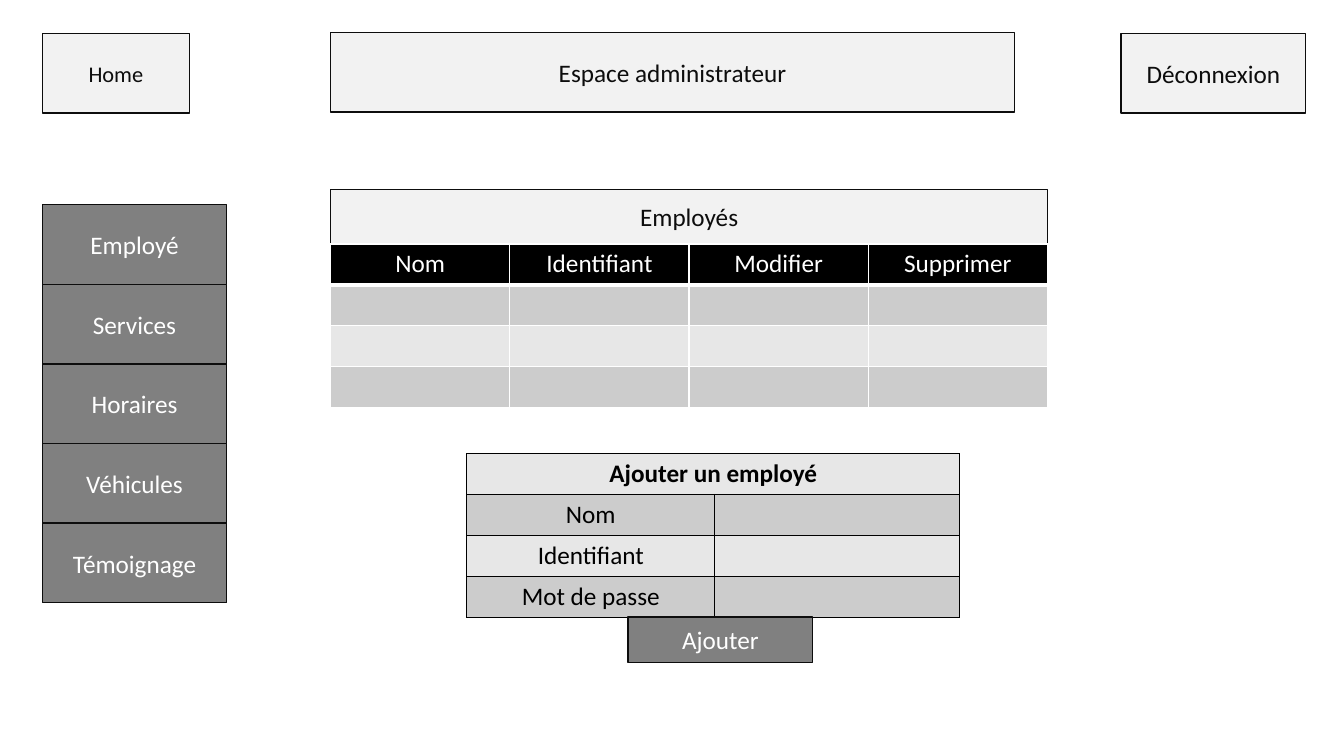
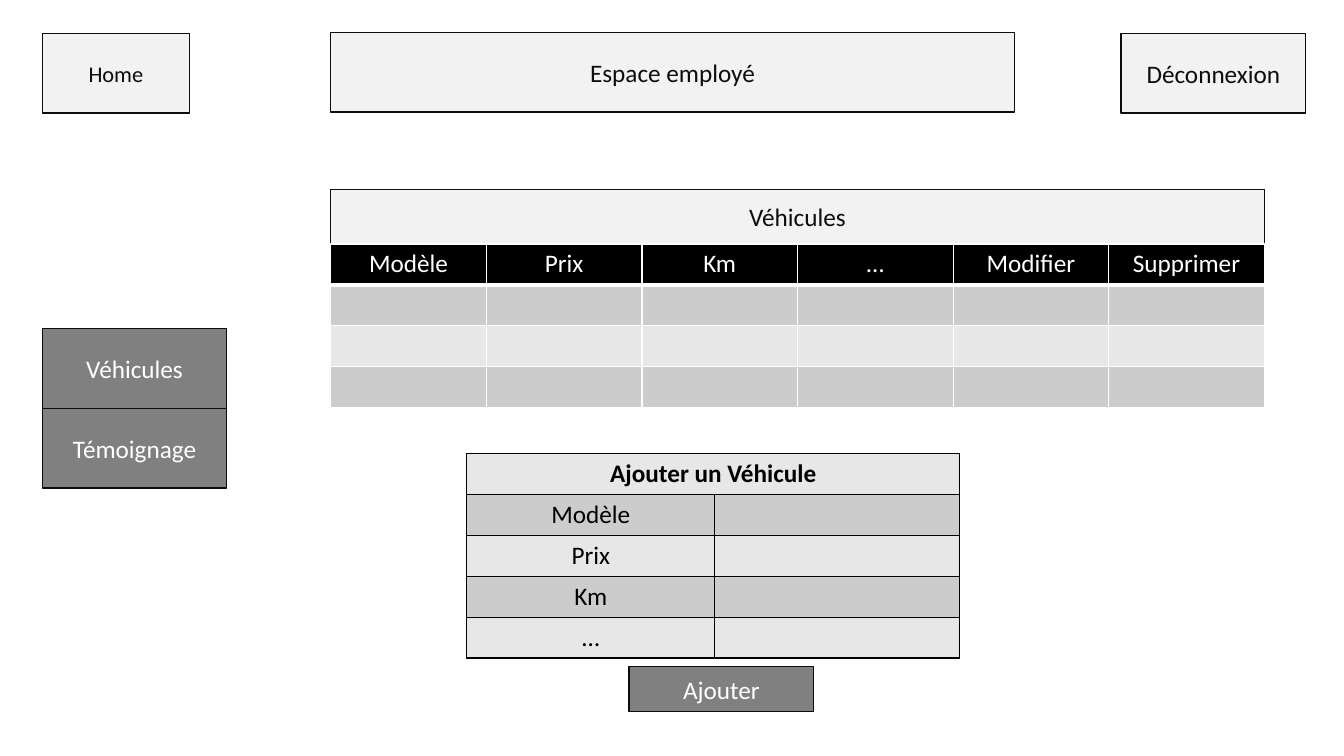
from lxml import etree
from pptx import Presentation
from pptx.dml.color import RGBColor
from pptx.enum.shapes import MSO_SHAPE
from pptx.enum.text import MSO_ANCHOR, PP_ALIGN
from pptx.oxml.ns import qn
from pptx.util import Inches, Pt

RECT = MSO_SHAPE.RECTANGLE
MIDDLE = MSO_ANCHOR.MIDDLE
CENTER = PP_ALIGN.CENTER

BLACK = RGBColor(0x00, 0x00, 0x00)
INK = RGBColor(0x0D, 0x0D, 0x0D)
GRAY = RGBColor(0x80, 0x80, 0x80)
BAND_DARK = RGBColor(0xCC, 0xCC, 0xCC)
BAND_LIGHT = RGBColor(0xE7, 0xE7, 0xE7)
PALE = RGBColor(0xF2, 0xF2, 0xF2)
WHITE = RGBColor(0xFF, 0xFF, 0xFF)

FONT = "Calibri"
MENU_LEFT, MAIN_LEFT, FORM_LEFT = 0.42, 3.28, 4.63
BUTTON_W, BUTTON_H = 1.83, 0.79
ROW_H = 1.62 / 4
FORM_COLS = [2.46, 2.43]


class Wireframe:
    """Draws wireframe pages in one shared style."""

    def __init__(self, prs):
        self.prs = prs
        self.s = None

    def label(self, tf, text, color, size=18, bold=False):
        p = tf.paragraphs[0]
        p.alignment = CENTER
        if text:
            r = p.add_run()
            r.text = text
            r.font.name = FONT
            r.font.size = Pt(size)
            r.font.bold = bold
            r.font.color.rgb = color

    def box(self, text, left, top, width, height, fill=PALE, color=INK, size=18):
        sp = self.s.shapes.add_shape(
            RECT, Inches(left), Inches(top), Inches(width), Inches(height))
        sp.shadow.inherit = False
        sp.fill.solid()
        sp.fill.fore_color.rgb = fill
        sp.line.color.rgb = INK
        sp.line.width = Pt(1)
        sp.text_frame.word_wrap = True
        sp.text_frame.vertical_anchor = MIDDLE
        self.label(sp.text_frame, text, color, size)

    def button(self, text, left, top, height=BUTTON_H):
        self.box(text, left, top, BUTTON_W, height, GRAY, WHITE)

    def borders(self, cell, color, top=1, bottom=1):
        tc_pr = cell._tc.get_or_add_tcPr()
        for side, width in (("L", 1), ("R", 1), ("T", top), ("B", bottom)):
            ln = etree.SubElement(tc_pr, qn("a:ln" + side), w=str(Pt(width)))
            fill = etree.SubElement(ln, qn("a:solidFill"))
            etree.SubElement(fill, qn("a:srgbClr"), val=str(color))

    def cell(self, cell, text, fill, color, bold=False):
        cell.fill.solid()
        cell.fill.fore_color.rgb = fill
        self.label(cell.text_frame, text, color, bold=bold)

    def table(self, left, top, widths, rows):
        table = self.s.shapes.add_table(
            rows, len(widths), Inches(left), Inches(top),
            Inches(sum(widths)), Inches(rows * ROW_H)).table
        for col, width in zip(table.columns, widths):
            col.width = Inches(width)
        for row in table.rows:
            row.height = Inches(ROW_H)
        return table

    def listing(self, title, headers, width):
        self.box(title, MAIN_LEFT, 1.88, width, 0.54)
        count = len(headers)
        table = self.table(MAIN_LEFT, 2.42, [width / count] * count, 4)
        for i in range(4):
            for j, header in enumerate(headers):
                cell = table.cell(i, j)
                self.borders(cell, WHITE, 3 if i == 1 else 1, 3 if i == 0 else 1)
                if i == 0:
                    self.cell(cell, header, BLACK, WHITE)
                else:
                    self.cell(cell, "", BAND_DARK if i % 2 else BAND_LIGHT, BLACK)

    def form(self, title, fields, button_left, button_top):
        labels = [title] + fields
        table = self.table(FORM_LEFT, 4.5, FORM_COLS, len(labels))
        table.cell(0, 0).merge(table.cell(0, 1))
        for i, label in enumerate(labels):
            for j, text in enumerate((label, "")):
                cell = table.cell(i, j)
                self.borders(cell, BLACK)
                self.cell(cell, text, BAND_DARK if i % 2 else BAND_LIGHT, BLACK, i == 0)
        self.button("Ajouter", button_left, button_top, 0.45)

    def page(self, title, menu, menu_top):
        self.s = self.prs.slides.add_slide(self.prs.slide_layouts[6])
        self.box("Home", MENU_LEFT, 0.33, 1.46, BUTTON_H, size=16)
        self.box(title, MAIN_LEFT, 0.32, 6.78, BUTTON_H)
        self.box("Déconnexion", 11.12, 0.33, BUTTON_W, BUTTON_H)
        for i, entry in enumerate(menu):
            self.button(entry, MENU_LEFT, menu_top + i * BUTTON_H)


prs = Presentation()
prs.slide_width = Inches(13.33)
prs.slide_height = Inches(7.5)
wf = Wireframe(prs)

wf.page("Espace administrateur",
        ["Employé", "Services", "Horaires", "Véhicules", "Témoignage"], 2.03)
wf.listing("Employés", ["Nom", "Identifiant", "Modifier", "Supprimer"], 7.11)
wf.form("Ajouter un employé", ["Nom", "Identifiant", "Mot de passe"], 6.23, 6.12)

wf.page("Espace employé", ["Véhicules", "Témoignage"], 3.26)
wf.listing("Véhicules", ["Modèle", "Prix", "Km", "…", "Modifier", "Supprimer"], 9.26)
wf.form("Ajouter un Véhicule", ["Modèle", "Prix", "Km", "…"], 6.24, 6.61)

prs.save("out.pptx")
